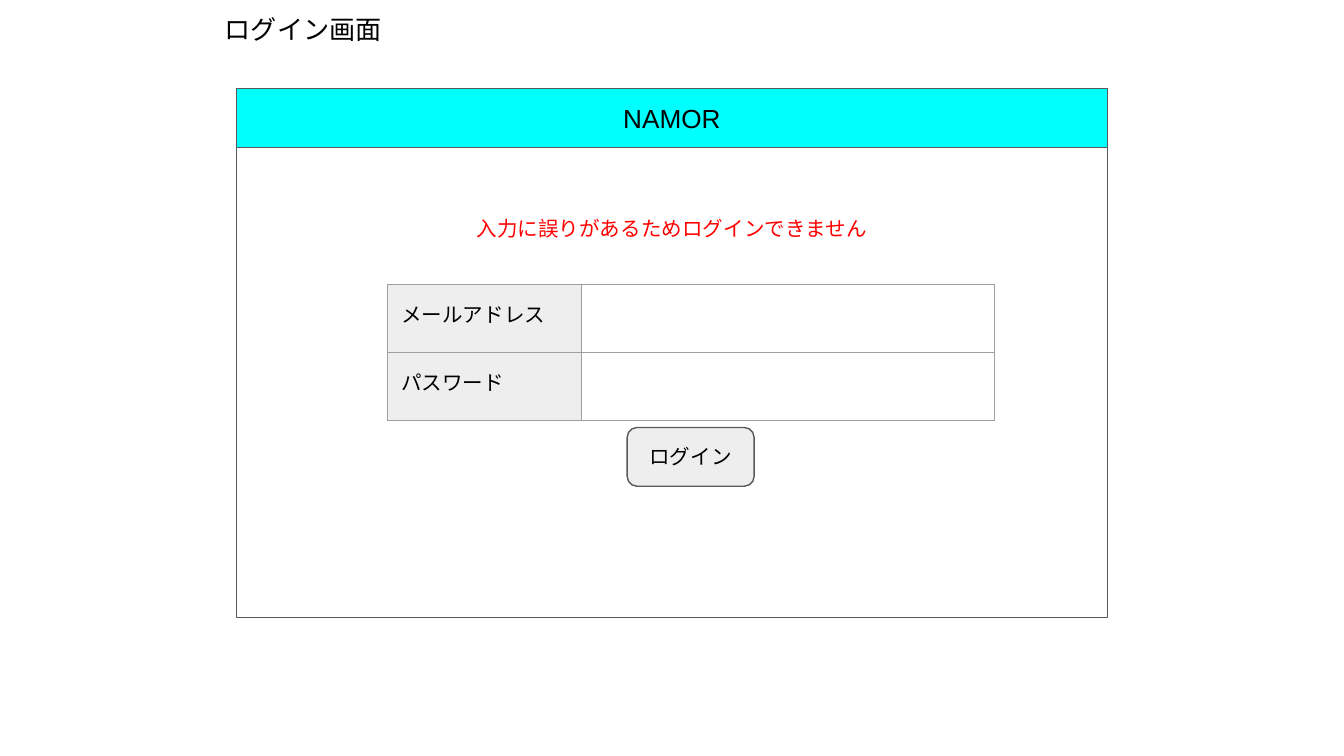
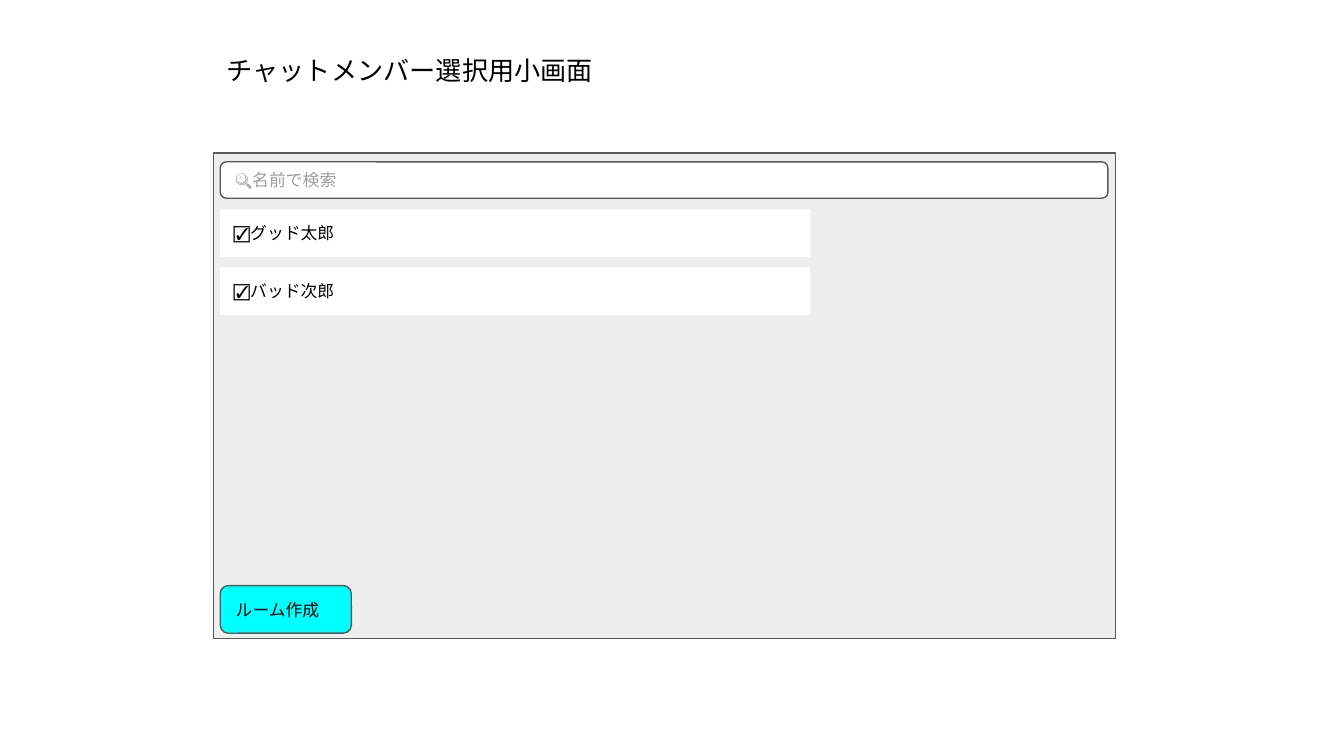
from lxml import etree
from pptx import Presentation
from pptx.dml.color import RGBColor
from pptx.enum.shapes import MSO_SHAPE as SHAPE
from pptx.enum.text import MSO_ANCHOR as ANCHOR, MSO_AUTO_SIZE as AUTO, PP_ALIGN as ALIGN
from pptx.oxml.ns import qn
from pptx.util import Pt

# Content
APP_NAME = "NAMOR"
LOGIN_TITLE = "ログイン画面"
LOGIN_ERROR = "入力に誤りがあるためログインできません"
LOGIN_FIELDS = ["メールアドレス", "パスワード"]
LOGIN_BUTTON = "ログイン"
MEMBER_TITLE = "チャットメンバー選択用小画面"
SEARCH_HINT = "🔍名前で検索"
MEMBERS = ["☑️グッド太郎", "☑️バッド次郎"]
CREATE_BUTTON = "ルーム作成"

# Shared style
FONT = "Arial"
BLACK, WHITE, GREY, BORDER = "000000", "FFFFFF", "EEEEEE", "595959"
MUTED, ACCENT, ERROR = "9E9E9E", "00FFFF", "FF0000"
INSET, LINE = 7.2, 0.75
TITLE_SIZE, FORM_SIZE, LIST_SIZE = 14, 11, 9


def rgb(color):
    return RGBColor.from_string(color)


def write(tf, text, size, color=BLACK, align=ALIGN.LEFT, anchor=ANCHOR.TOP):
    tf.word_wrap = True
    tf.auto_size = AUTO.NONE
    tf.vertical_anchor = anchor
    tf.margin_left = tf.margin_right = tf.margin_top = tf.margin_bottom = Pt(INSET)
    tf.text = text
    p = tf.paragraphs[0]
    p.alignment = align
    p.font.name, p.font.size, p.font.color.rgb = FONT, Pt(size), rgb(color)


def add_title(slide, text, box, align):
    title = slide.shapes.title
    title.left, title.top, title.width, title.height = map(Pt, box)
    write(title.text_frame, text, TITLE_SIZE, align=align)


def add_box(slide, box, fill, line=BORDER, rounded=False):
    kind = SHAPE.ROUNDED_RECTANGLE if rounded else SHAPE.RECTANGLE
    sp = slide.shapes.add_shape(kind, *map(Pt, box))
    sp.shadow.inherit = False
    sp.fill.solid()
    sp.fill.fore_color.rgb = rgb(fill)
    if line:
        sp.line.color.rgb = rgb(line)
        sp.line.width = Pt(LINE)
    else:
        sp.line.fill.background()
    return sp


def set_borders(cell, color):
    tc_pr = cell._tc.get_or_add_tcPr()
    for side in ("a:lnL", "a:lnR", "a:lnT", "a:lnB"):
        ln = etree.SubElement(tc_pr, qn(side), w=str(Pt(LINE)))
        fill = etree.SubElement(ln, qn("a:solidFill"))
        etree.SubElement(fill, qn("a:srgbClr"), val=color)


def add_form(slide, left, top, widths, row_height):
    rows = len(LOGIN_FIELDS)
    table = slide.shapes.add_table(rows, len(widths), Pt(left), Pt(top),
                                   Pt(sum(widths)), Pt(rows * row_height)).table
    table.first_row = table.horz_banding = False
    for column, width in zip(table.columns, widths):
        column.width = Pt(width)
    for row, label in zip(table.rows, LOGIN_FIELDS):
        row.height = Pt(row_height)
        name, entry = row.cells
        for cell in (name, entry):
            set_borders(cell, MUTED)
            cell.margin_left = cell.margin_right = Pt(INSET)
            cell.margin_top = cell.margin_bottom = Pt(INSET)
        name.fill.solid()
        name.fill.fore_color.rgb = rgb(GREY)
        entry.fill.background()
        name.text = label
        font = name.text_frame.paragraphs[0].font
        font.name, font.size, font.color.rgb = FONT, Pt(FORM_SIZE), rgb(BLACK)


def build_login(slide):
    left, top, width = 126.75, 47.5, 466.5
    add_box(slide, (left, top, width, 283.5), WHITE)
    add_title(slide, LOGIN_TITLE, (0, 0, 325, 31.5), ALIGN.CENTER)
    add_form(slide, 207.75, 152.5, (104, 221), 36)

    button = add_box(slide, (336, 229, 68, 31.5), GREY, rounded=True)
    write(button.text_frame, LOGIN_BUTTON, FORM_SIZE, align=ALIGN.CENTER)
    error = slide.shapes.add_textbox(Pt(178.5), Pt(108.5), Pt(363), Pt(28))
    write(error.text_frame, LOGIN_ERROR, FORM_SIZE, ERROR, ALIGN.CENTER)

    header = add_box(slide, (left, top, width, 31.5), ACCENT)
    write(header.text_frame, APP_NAME, TITLE_SIZE,
          align=ALIGN.CENTER, anchor=ANCHOR.MIDDLE)


def build_members(slide):
    panel_left, left, row_height = 114.25, 118, 25.5
    add_box(slide, (panel_left, 82, 483.25, 260), GREY)
    search = add_box(slide, (left, 86.75, 475.5, 19.5), WHITE, rounded=True)
    write(search.text_frame, SEARCH_HINT, LIST_SIZE, MUTED, anchor=ANCHOR.MIDDLE)

    # Member list
    for i, member in enumerate(MEMBERS):
        row = add_box(slide, (left, 112.25 + 31 * i, 316, row_height), WHITE, line=None)
        write(row.text_frame, member, LIST_SIZE)

    button = add_box(slide, (left, 313.75, 70.25, row_height), ACCENT, rounded=True)
    write(button.text_frame, CREATE_BUTTON, LIST_SIZE, anchor=ANCHOR.MIDDLE)
    add_title(slide, MEMBER_TITLE, (panel_left, 21.75, 316, 31.5), ALIGN.LEFT)


def main():
    prs = Presentation()
    prs.slide_width, prs.slide_height = Pt(720), Pt(405)
    for build in (build_login, build_members):
        build(prs.slides.add_slide(prs.slide_layouts[5]))
    prs.save("out.pptx")


if __name__ == "__main__":
    main()
